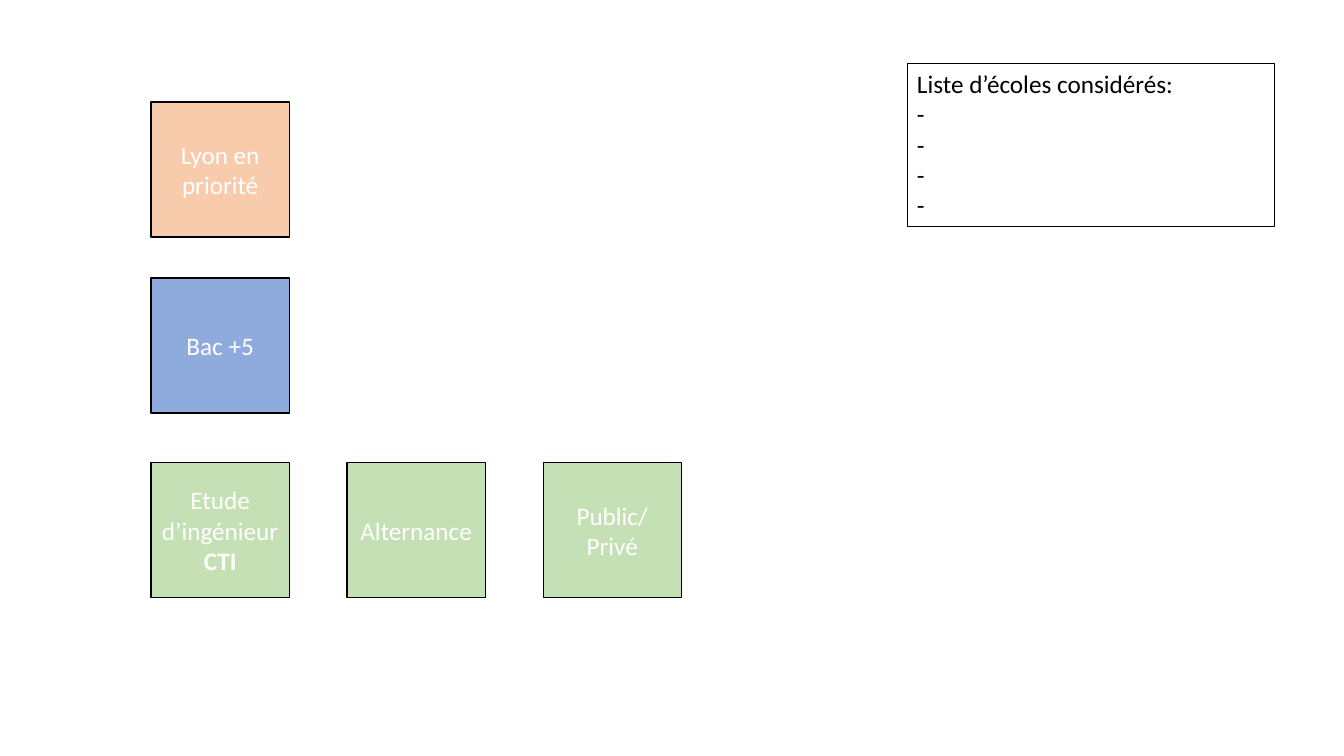
from pptx import Presentation
from pptx.dml.color import RGBColor
from pptx.enum.shapes import MSO_SHAPE
from pptx.enum.text import MSO_ANCHOR, MSO_AUTO_SIZE, PP_ALIGN
from pptx.util import Cm, Pt


def color(hex_string):
    return RGBColor.from_string(hex_string)


def write(shape, lines, font_color="000000", align=PP_ALIGN.LEFT,
          anchor=MSO_ANCHOR.TOP, bold_lines=()):
    frame = shape.text_frame
    frame.word_wrap = True
    frame.vertical_anchor = anchor
    for index, line in enumerate(lines):
        paragraph = frame.paragraphs[0] if index == 0 else frame.add_paragraph()
        paragraph.alignment = align
        run = paragraph.add_run()
        run.text = line
        run.font.name = "Calibri"
        run.font.size = Pt(18)
        run.font.bold = line in bold_lines
        run.font.color.rgb = color(font_color)


presentation = Presentation()
presentation.slide_width = Cm(33.87)
presentation.slide_height = Cm(19.05)
slide = presentation.slides.add_slide(presentation.slide_layouts[6])

card_width, card_height = 3.48, 3.4
first_left, column_step = 3.81, 4.94
criteria_rows = [
    (2.57, "F8CBAD", [["Lyon en priorité"]]),
    (7.01, "8FAADC", [["Bac +5"]]),
    (11.66, "C5E0B4", [["Etude d’ingénieur", "CTI"], ["Alternance"], ["Public/", "Privé"]]),
]

for top, fill, cards in criteria_rows:
    for column, lines in enumerate(cards):
        card = slide.shapes.add_shape(
            MSO_SHAPE.RECTANGLE, Cm(first_left + column * column_step), Cm(top),
            Cm(card_width), Cm(card_height))
        card.shadow.inherit = False
        card.fill.solid()
        card.fill.fore_color.rgb = color(fill)
        card.line.color.rgb = color("000000")
        card.line.width = Pt(1)
        write(card, lines, font_color="FFFFFF", align=PP_ALIGN.CENTER,
              anchor=MSO_ANCHOR.MIDDLE, bold_lines=["CTI"])

school_list = slide.shapes.add_textbox(Cm(22.86), Cm(1.6), Cm(9.27), Cm(4.11))
school_list.line.color.rgb = color("000000")
school_list.line.width = Pt(0.75)
write(school_list, ["Liste d’écoles considérés:"] + ["-"] * 4)
school_list.text_frame.auto_size = MSO_AUTO_SIZE.SHAPE_TO_FIT_TEXT

presentation.save("out.pptx")
